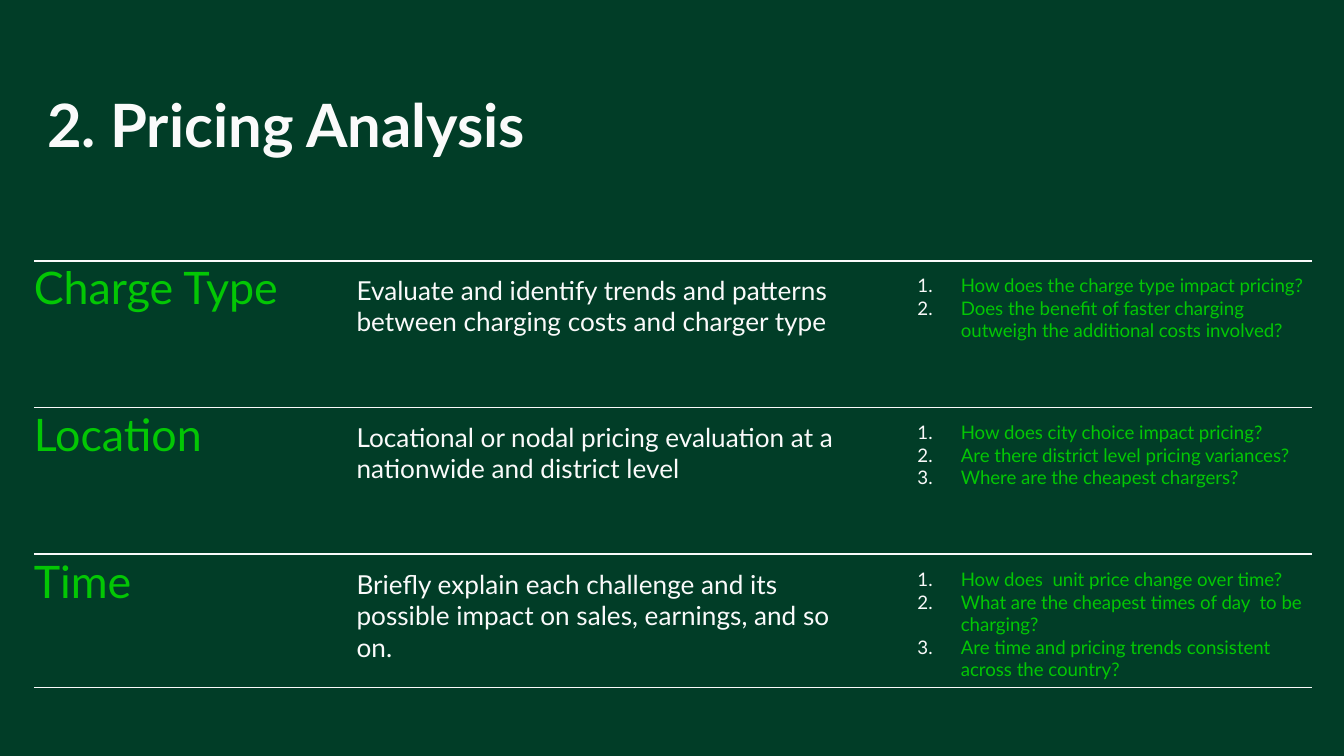
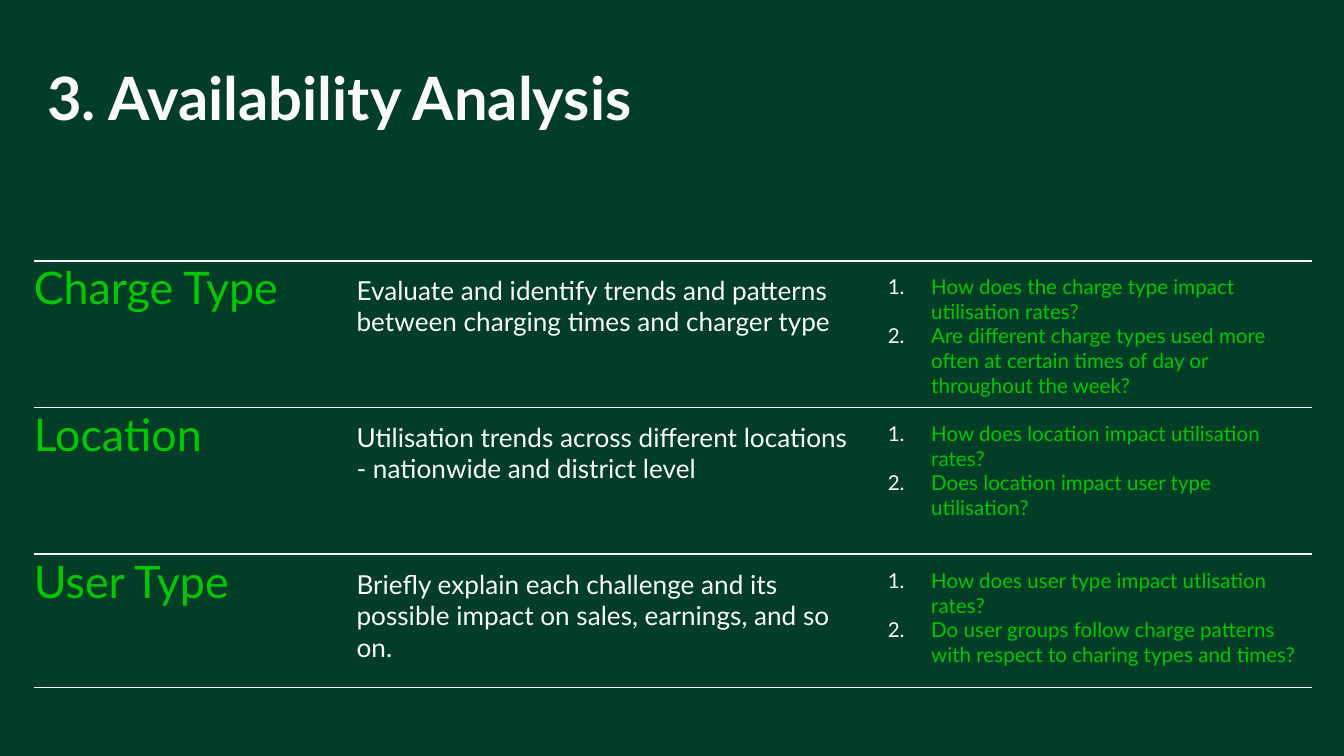
"""Build two analysis slides, each with three ruled rows of topics and questions."""
import dataclasses

import pptx
import pptx.dml.color
import pptx.enum.shapes
import pptx.enum.text
import pptx.oxml.ns
import pptx.util
from lxml import etree

Cm = pptx.util.Cm
Pt = pptx.util.Pt
qn = pptx.oxml.ns.qn


@dataclasses.dataclass(frozen=True)
class Theme:
    back: str = "013D27"
    light: str = "FAFAFA"
    green: str = "03C704"
    font: str = "Lato"
    title: int = 32
    topic: int = 24
    body: int = 14
    rule: float = 0.75


def color(code):
    return pptx.dml.color.RGBColor.from_string(code)


class Deck:
    def __init__(self, theme):
        self.theme = theme
        self.prs = pptx.Presentation()
        self.prs.slide_width, self.prs.slide_height = Cm(25.4), Cm(14.29)
        fill = self.prs.slide_master.background.fill
        fill.solid()
        fill.fore_color.rgb = color(theme.back)
        self.slide = None

    def start(self, text, top):
        self.slide = self.prs.slides.add_slide(self.prs.slide_layouts[5])
        title = self.slide.shapes.title
        title.left, title.top = Cm(0.64), Cm(top)
        title.width, title.height = Cm(24.13), Cm(1.88)
        self.style(title, [text], self.theme.title, self.theme.light, 0.7, 0.25, True)

    def style(self, box, lines, size, tint, space=1.0, inset=0, bold=False):
        frame = box.text_frame
        frame.text = "\n".join(lines)
        frame.word_wrap = True
        frame.auto_size = pptx.enum.text.MSO_AUTO_SIZE.NONE
        frame.vertical_anchor = pptx.enum.text.MSO_ANCHOR.TOP
        frame.margin_left = frame.margin_right = Cm(inset)
        frame.margin_top = frame.margin_bottom = Cm(inset)
        for para in frame.paragraphs:
            para.alignment = pptx.enum.text.PP_ALIGN.LEFT
            para.line_spacing = space
            para.space_before = Pt(0)
            for run in para.runs:
                run.font.name = self.theme.font
                run.font.size = Pt(size)
                run.font.bold = bold
                run.font.color.rgb = color(tint)

    def text(self, lines, left, top, width, size, tint, space=1.0):
        box = self.slide.shapes.add_textbox(Cm(left), Cm(top), Cm(width), Cm(2.13))
        self.style(box, lines, size, tint, space)
        return box

    def list(self, lines, left, top, size):
        box = self.text(lines, left, top, 24.77 - left, size, self.theme.green)
        for para in box.text_frame.paragraphs:
            props = para._p.get_or_add_pPr()
            props.set("marL", str(Cm(1.27)))
            props.set("indent", str(-Cm(0.82)))
            tint = etree.SubElement(props, qn("a:buClr"))
            etree.SubElement(tint, qn("a:srgbClr"), val=self.theme.light)
            etree.SubElement(props, qn("a:buFont"), typeface=self.theme.font)
            etree.SubElement(props, qn("a:buAutoNum"), type="arabicPeriod")

    def rule(self, top):
        kind = pptx.enum.shapes.MSO_CONNECTOR.STRAIGHT
        line = self.slide.shapes.add_connector(kind, Cm(0.64), Cm(top), Cm(24.79), Cm(top))
        line.line.color.rgb = color(self.theme.light)
        line.line.width = Pt(self.theme.rule)
        etree.SubElement(line._element.spPr, qn("a:effectLst"))

    def rows(self, rows, left, size):
        look = self.theme
        for i, (topic, body, asks) in enumerate(rows):
            self.rule(4.93 + 2.77 * i)
            top = 5.18 + 2.78 * i
            self.text([topic], 0.64, top, 5.84, look.topic, look.green, 0.7)
            self.text([body], 6.74, top, 9.35, look.body, look.light)
            self.list(asks, left, top, size)
        self.rule(13)


BRIEF = "Briefly explain each challenge and its possible impact on sales, earnings, and so on."

PRICE = [
    ("Charge Type",
     "Evaluate and identify trends and patterns between charging costs and charger type",
     ["How does the charge type impact pricing?",
      "Does the benefit of faster charging outweigh the additional costs involved?"]),
    ("Location",
     "Locational or nodal pricing evaluation at a nationwide and district level",
     ["How does city choice impact pricing?",
      "Are there district level pricing variances?",
      "Where are the cheapest chargers?"]),
    ("Time", BRIEF,
     ["How does  unit price change over time?",
      "What are the cheapest times of day  to be  charging?",
      "Are time and pricing trends consistent across the country?"]),
]

USAGE = [
    ("Charge Type",
     "Evaluate and identify trends and patterns between charging times and charger type",
     ["How does the charge type impact utilisation rates?",
      "Are different charge types used more often at certain times of day "
      "or throughout the week?"]),
    ("Location",
     "Utilisation trends across different locations - nationwide and district level",
     ["How does location impact utilisation rates?",
      "Does location impact user type utilisation?"]),
    ("User Type", BRIEF,
     ["How does user type impact utlisation rates?",
      "Do user groups follow charge patterns with respect to charing types and times?"]),
]


def main():
    deck = Deck(Theme())
    deck.start("2. Pricing Analysis", 1.78)
    deck.rows(PRICE, 16.89, 10)
    deck.start("3. Availability Analysis", 1.27)
    deck.rows(USAGE, 16.33, 11)
    deck.prs.save("out.pptx")


if __name__ == "__main__":
    main()
